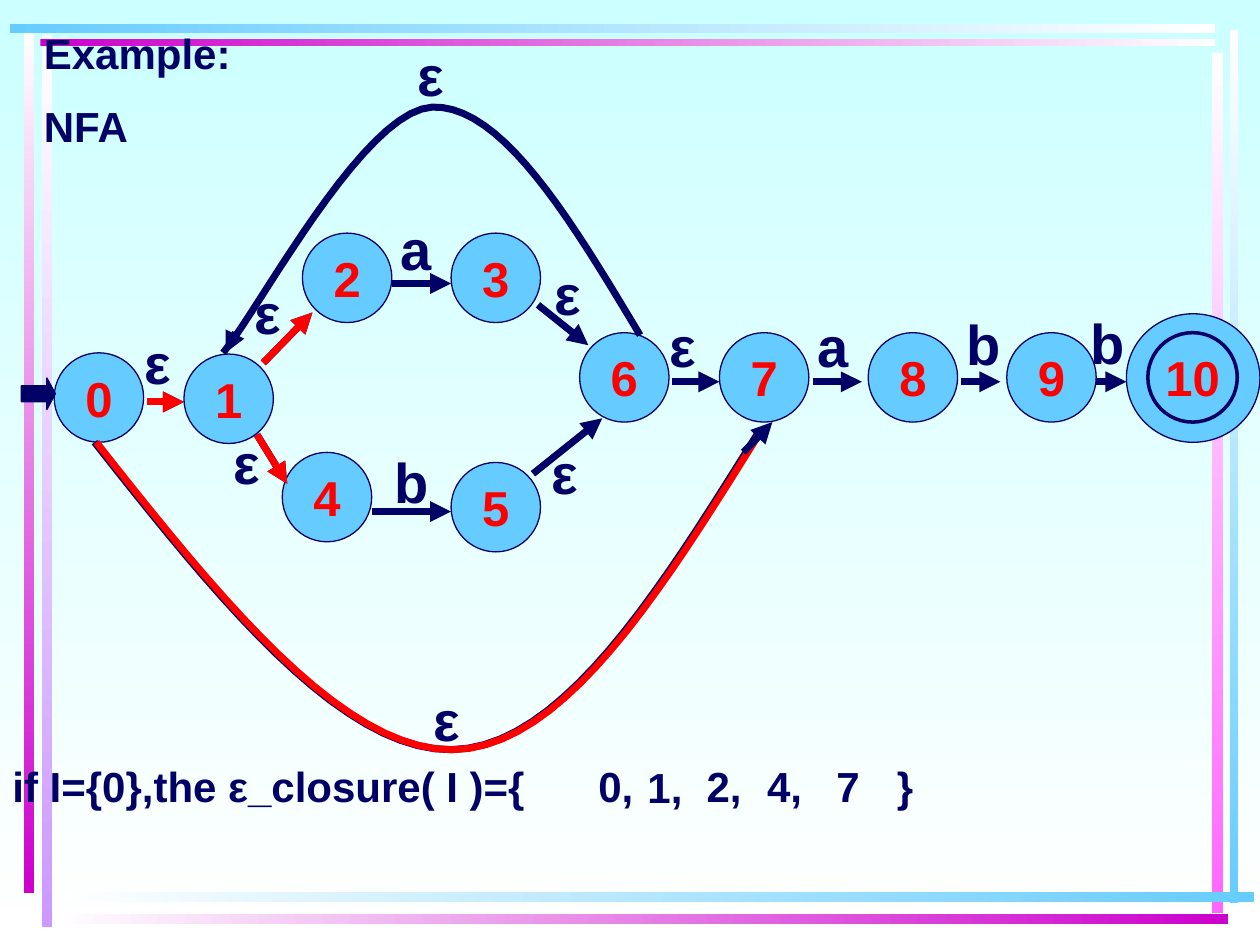
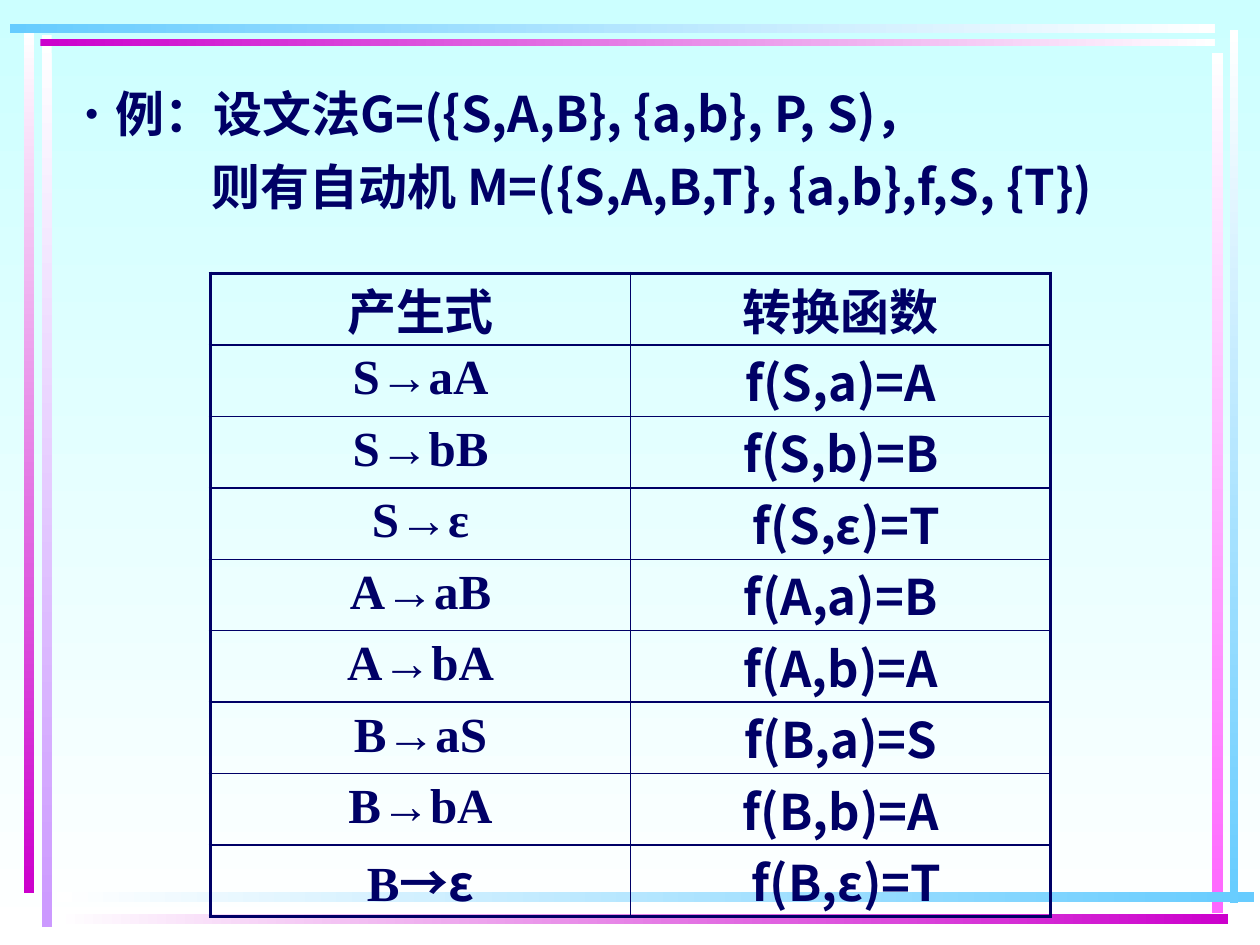
from pptx import Presentation
from pptx import util as u
from pptx.dml.color import RGBColor
from pptx.enum import shapes, text
from pptx.oxml.ns import qn
from lxml import etree

C = dict(ink="000066", red="FF0000", sky="66CCFF", aqua="CCFFFF", white="FFFFFF",
         lilac="CC99FF", magenta="CC00CC", pink="FF66FF")
RGB = {name: RGBColor.from_string(value) for name, value in C.items()}
ARIAL, TIMES, CJK = "Arial", "Times New Roman", "Noto Sans CJK SC"

prs = Presentation()
prs.slide_width, prs.slide_height = u.Inches(10), u.Inches(7.5)
# All lengths are counted on a grid of 100 columns by 75 rows
COL, ROW = prs.slide_width / 100, prs.slide_height / 75


def grid(*lengths):
    """Turn column, row, column, row... into slide units."""
    return [round(n * (COL, ROW)[i % 2]) for i, n in enumerate(lengths)]


def add_run(p, words, size, font, colour="ink"):
    r = p.add_run()
    r.text = words
    r.font.size, r.font.bold, r.font.name = u.Pt(size), True, font
    r.font.color.rgb = RGB[colour]
    ea = etree.SubElement(r._r.get_or_add_rPr(), qn("a:ea"))
    ea.set("typeface", CJK if font == TIMES else font)


# Shared background and frame: place, start colour, end colour, angle
DOWN, ACROSS = 270, 0
BARS = [
    ((3.3, 2.8, 0.8, 70.8), "white", "lilac", DOWN),
    ((1.9, 2.5, 0.8, 68.4), "white", "magenta", DOWN),
    ((97.6, 2.4, 0.7, 69.3), "white", "sky", DOWN),
    ((96.2, 4.2, 0.9, 68.3), "white", "pink", DOWN),
    ((4.5, 70.8, 95, 0.8), "white", "sky", ACROSS),
    ((4.5, 72.5, 93, 0.8), "white", "magenta", ACROSS),
    ((3.2, 3.1, 93.2, 0.6), "magenta", "white", ACROSS),
    ((0.8, 1.9, 95.6, 0.7), "sky", "white", ACROSS),
]
slides = [prs.slides.add_slide(prs.slide_layouts[6]) for _ in range(2)]
for s in slides:
    gradients = [(s.background.fill, "aqua", "white", DOWN)]
    for place, start, end, angle in BARS:
        sp = s.shapes.add_shape(shapes.MSO_SHAPE.RECTANGLE, *grid(*place))
        sp.shadow.inherit = False
        sp.line.fill.background()
        gradients.append((sp.fill, start, end, angle))
    for fill, start, end, angle in gradients:
        fill.gradient()
        fill.gradient_angle = angle
        for stop, colour in zip(fill.gradient_stops, (start, end)):
            stop.color.rgb = RGB[colour]

# Slide 1: NFA states
s = slides[0]
SIZE = 7.1
STATES = [("", 89.4, 24.9, 10.6, 10.2), ("10", 91.1, 26.4, SIZE, SIZE)]
STATES += [(name, x, y, SIZE, SIZE) for name, x, y in [
    ("0", 4.3, 28), ("1", 14.6, 28.1), ("2", 24, 18.5), ("3", 35.8, 18.5),
    ("4", 22.4, 35.9), ("5", 35.8, 36.7), ("6", 46, 26.4), ("7", 57.1, 26.4),
    ("8", 68.9, 26.4), ("9", 79.9, 26.4)]]
for name, *place in STATES:
    sp = s.shapes.add_shape(shapes.MSO_SHAPE.OVAL, *grid(*place))
    sp.shadow.inherit = False
    sp.fill.solid()
    sp.fill.fore_color.rgb = RGB["sky"]
    sp.line.color.rgb = RGB["ink"]
    sp.line.width = u.Pt(2 if name == "10" else 0.75)
    if name:
        tf = sp.text_frame
        tf.word_wrap = False
        tf.vertical_anchor = text.MSO_ANCHOR.MIDDLE
        tf.paragraphs[0].alignment = text.PP_ALIGN.CENTER
        add_run(tf.paragraphs[0], name, 28, ARIAL, "red")

# Start arrow
sp = s.shapes.add_shape(shapes.MSO_SHAPE.RIGHT_ARROW, *grid(1.7, 30, 2.7, 2.5))
sp.adjustments[1] = 0.27
sp.shadow.inherit = False
sp.fill.solid()
sp.fill.fore_color.rgb = sp.line.color.rgb = RGB["ink"]
sp.line.width = u.Pt(0.75)

# Curved edges: Bezier points, three new ones for each segment
skip = [(7.5, 35.1), (17.2, 47.4), (27, 59.6), (35.8, 59.5),
        (44.6, 59.4), (52.4, 46.8), (60.2, 34.3)]
back = [(50.8, 26.6), (45.3, 17.4), (39.8, 8.3), (34.3, 8.5),
        (28.8, 8.8), (20.5, 24.7), (17.7, 28)]
skip_red = [(x + 0.15, y) for x, y in skip]
STEPS = 20
for points, colour in [(skip, "ink"), (back, "ink"), (skip_red, "red")]:
    outline = []
    for first in range(0, len(points) - 1, 3):
        for t in [n / STEPS for n in range(STEPS + 1)]:
            weights = ((1 - t) ** 3, 3 * t * (1 - t) ** 2, 3 * t * t * (1 - t), t ** 3)
            outline.append(grid(*(sum(w * pt[axis] for w, pt in zip(weights, points[first:]))
                                  for axis in (0, 1))))
    builder = s.shapes.build_freeform(*outline[0])
    builder.add_line_segments(outline[1:], close=False)
    sp = builder.convert_to_shape()
    sp.shadow.inherit = False
    sp.fill.background()
    sp.line.color.rgb, sp.line.width = RGB[colour], u.Pt(4)

# Straight edges; those in the closure are drawn again in red
closure_edges = [(11.7, 31.9, 14.6, 31.9), (20.9, 28.8, 24.8, 24.8), (20.4, 34.5, 22.8, 38.4)]
edges = [(x1, 30.3, x2, 30.3) for x1, x2 in
         [(87, 89.4), (76.3, 79.4), (64.5, 68.4), (53.3, 57.1)]]
edges += [(29.5, 40.6, 35.8, 40.6), (31.1, 22.5, 35.8, 22.5),
          (42.7, 24.2, 46.7, 27.4), (42.3, 37.6, 47.8, 33.2),
          (59, 35.9, 61.3, 33.5), (18.7, 26.4, 17.9, 28)]
for colour, group in [("ink", edges + closure_edges), ("red", closure_edges)]:
    for ends in group:
        cx = s.shapes.add_connector(shapes.MSO_CONNECTOR.STRAIGHT, *grid(*ends))
        cx.line.color.rgb, cx.line.width = RGB[colour], u.Pt(4)
        etree.SubElement(cx.line._get_or_add_ln(), qn("a:tailEnd")).set("type", "triangle")
        etree.SubElement(cx._element.spPr, qn("a:effectLst"))

# Edge labels, then the closure sentence
WIDTHS = {"ε": 5.5, "a": 3.9, "b": 4.7}
LABELS = [("ε", 31.4, 2.7), ("a", 30.8, 16.5), ("b", 30.3, 35), ("a", 63.9, 24.2),
          ("b", 75.7, 24.1), ("b", 85.6, 24), ("ε", 9.8, 25.6), ("ε", 18.5, 21.6),
          ("ε", 16.8, 33.5), ("ε", 42.3, 20.1), ("ε", 42.1, 34.3), ("ε", 51.4, 24.2),
          ("ε", 32.7, 53.9)]
CLOSURE = [("if I={0},the ε_closure( I )={", 0, 46.9), ("0,", 46.5, 5.1), ("1,", 50.4, 5.1),
           ("2,", 55.1, 6), ("4,", 59.9, 5.1), ("7", 65.4, 4.3), ("}", 70.2, 3.4)]
boxes = [(words, (x, y, WIDTHS[words], 6.3), 32) for words, x, y in LABELS]
boxes += [(words, (x, 60.4 if words == "1," else 60.3, w, 4.6), 24) for words, x, w in CLOSURE]
boxes += [("Example:\nNFA", (2.5, 1.7, 24.4, 11), 24)]
for words, place, size in boxes:
    tf = s.shapes.add_textbox(*grid(*place)).text_frame
    tf.word_wrap = True
    for i, line in enumerate(words.split("\n")):
        p = tf.add_paragraph() if i else tf.paragraphs[0]
        if i:
            p.space_before = u.Pt(13)
        if size == 32:
            p.alignment = text.PP_ALIGN.CENTER
        elif place[1] > 60:
            p.line_spacing = 0.9
        add_run(p, line, size, ARIAL)

# Slide 2: example text
s = slides[1]
tf = s.shapes.add_textbox(*grid(5.8, 6.7, 89.2, 12.7)).text_frame
tf.word_wrap = True
p = tf.paragraphs[0]
pPr = p._p.get_or_add_pPr()
pPr.set("marL", str(round(2.4 * COL)))
pPr.set("indent", str(round(-2.4 * COL)))
colour = etree.SubElement(etree.SubElement(pPr, qn("a:buClr")), qn("a:srgbClr"))
colour.set("val", C["ink"])
etree.SubElement(pPr, qn("a:buSzPct")).set("val", "75000")
etree.SubElement(pPr, qn("a:buFont")).set("typeface", ARIAL)
etree.SubElement(pPr, qn("a:buChar")).set("char", "•")
p.line_spacing = 0.9
add_run(p, "例：设文法G=({S,A,B}, {a,b}, P, S)，", 28, CJK)
p = tf.add_paragraph()
p._p.get_or_add_pPr().set("marL", str(round(10 * COL)))
p.line_spacing, p.space_before = 0.9, u.Pt(11)
add_run(p, "则有自动机 M=({S,A,B,T}, {a,b},f,S, {T})", 28, CJK)

# Table of productions and transitions
ROWS = [("产生式", "转换函数"), ("S→aA", "f(S,a)=A"), ("S→bB", "f(S,b)=B"),
        ("S→ε", " f(S,ε)=T"), ("A→aB", "f(A,a)=B"), ("A→bA", "f(A,b)=A"),
        ("B→aS", "f(B,a)=S"), ("B→bA", "f(B,b)=A"), ("B→ε", " f(B,ε)=T")]
last = len(ROWS) - 1
tbl = s.shapes.add_table(len(ROWS), 2, *grid(16.7, 21.7, 66.7, 51)).table
tbl.first_row = tbl.horz_banding = False
for i, row in enumerate(ROWS):
    for j, words in enumerate(row):
        cell = tbl.cell(i, j)
        # Heavy lines on the outer edge, thin ones inside
        outer = {"lnL": j == 0, "lnR": j == 1, "lnT": i == 0, "lnB": i == last}
        for side, heavy in outer.items():
            ln = etree.SubElement(cell._tc.get_or_add_tcPr(), qn("a:" + side))
            ln.set("w", str(u.Pt(2.25 if heavy else 1)))
            fill = etree.SubElement(ln, qn("a:solidFill"))
            etree.SubElement(fill, qn("a:srgbClr")).set("val", C["ink"])
        cell.fill.background()
        # The CJK font is taller and needs the whole row
        tall = j == 1 or i in (0, last)
        cell.margin_top = cell.margin_bottom = 0 if tall else u.Inches(0.05)
        p = cell.text_frame.paragraphs[0]
        p.alignment = text.PP_ALIGN.CENTER
        if j == 0 and i == last:
            add_run(p, words[0], 28, TIMES)
            add_run(p, words[1:], 28, CJK)
        else:
            add_run(p, words, 28, CJK if j else TIMES)

prs.save("out.pptx")
